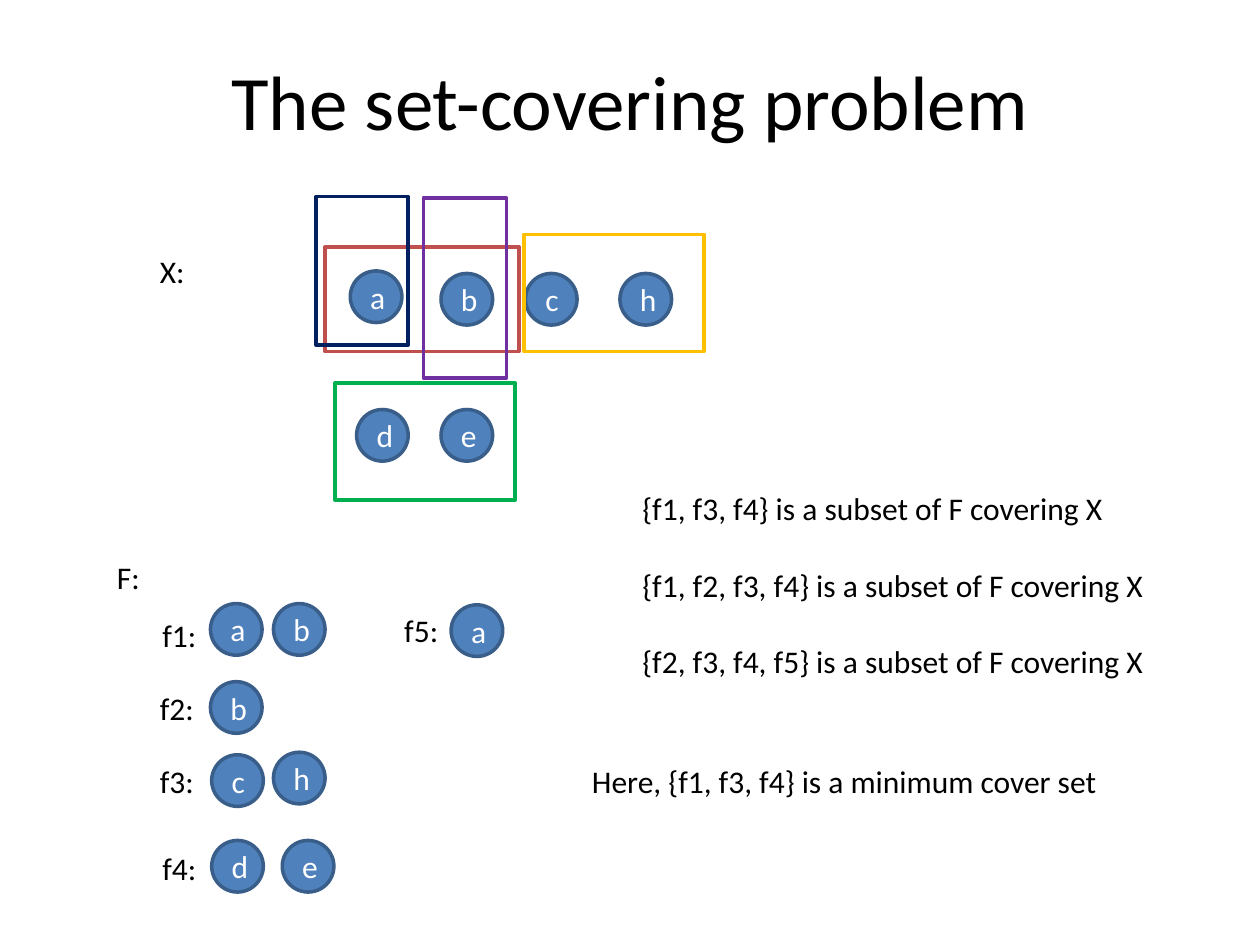
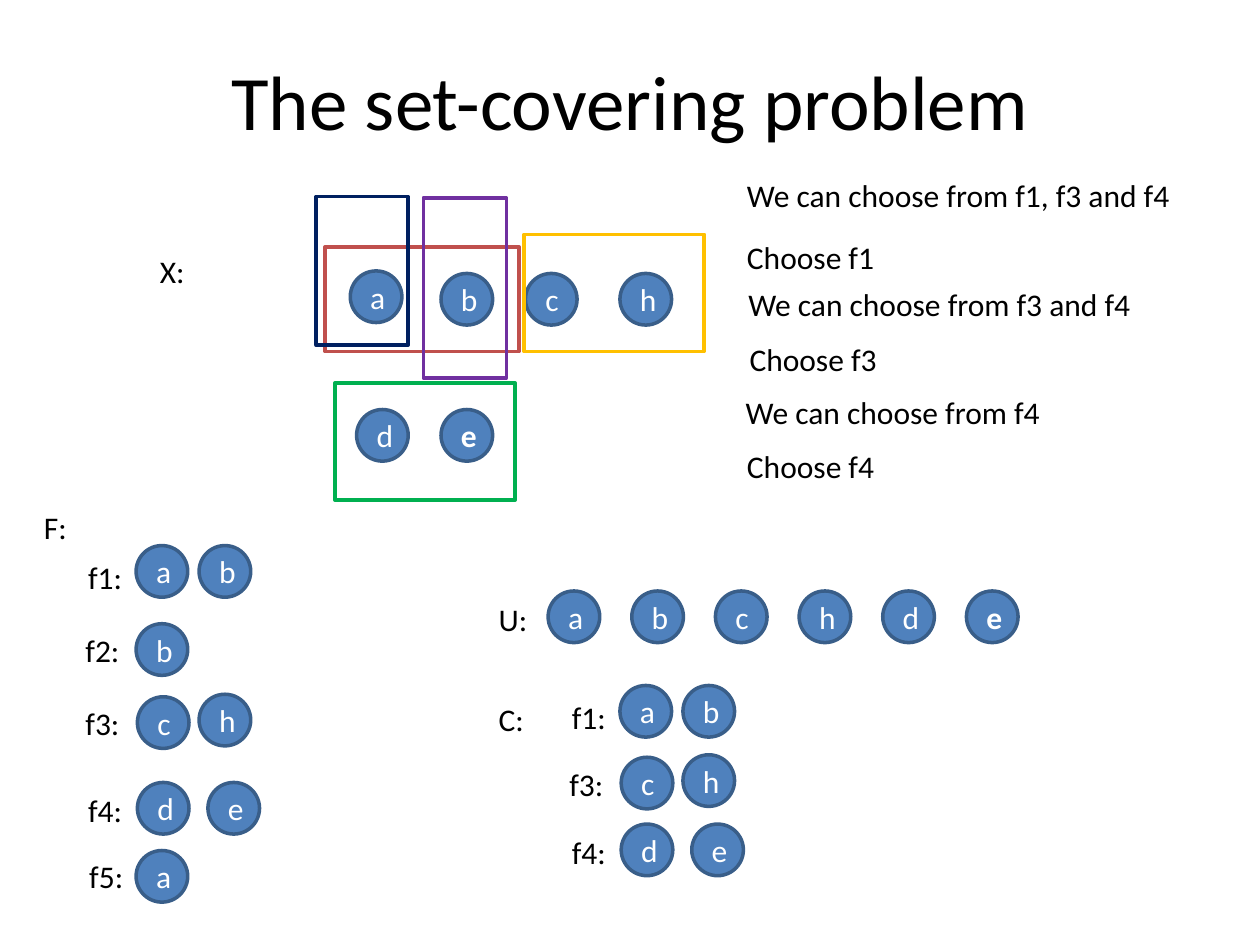
from dataclasses import dataclass

from pptx import Presentation
from pptx.dml.color import RGBColor as RGB
from pptx.enum.shapes import MSO_SHAPE as Shape
from pptx.enum.text import MSO_ANCHOR as Anchor, MSO_AUTO_SIZE as Fit, PP_ALIGN as Align
from pptx.util import Inches, Pt


@dataclass(frozen=True)
class Theme:
    font: str = "Calibri"
    title: int = 44
    body: int = 18
    ink: str = "000000"
    white: str = "FFFFFF"
    ball: str = "4F81BD"
    rim: str = "395E89"
    red: str = "C0504D"
    purple: str = "7030A0"
    gold: str = "FFC000"
    green: str = "00B050"
    navy: str = "002060"
    line: int = 2


THEME = Theme()
BALL = 0.41
ROW = 0.4

# Set name: label offset, then each member with its offset from the row's corner
SETS = {
    "f1": ((-0.48, 0.05), [("a", 0, 0), ("b", 0.5, 0)]),
    "f2": ((-0.5, 0.01), [("b", 0, 0)]),
    "f3": ((-0.5, 0.01), [("c", 0.01, 0), ("h", 0.5, -0.02)]),
    "f4": ((-0.48, 0.02), [("d", 0.01, 0), ("e", 0.57, 0)]),
    "f5": ((-0.47, 0), [("a", 0, 0)]),
}
POINTS = [("a", 2.78, 2.15), ("b", 3.5, 2.17), ("c", 4.17, 2.17),
          ("h", 4.92, 2.17), ("d", 2.83, 3.25), ("e", 3.5, 3.25)]
FRAMES = [
    (THEME.red, 2.58, 1.96, 1.54, 0.83),
    (THEME.purple, 3.36, 1.57, 0.66, 1.43),
    (THEME.gold, 4.16, 1.86, 1.43, 0.93),
    (THEME.green, 2.66, 3.04, 1.43, 0.93),
    (THEME.navy, 2.51, 1.56, 0.73, 1.18),
]


def write(frame, text, size=THEME.body, color=THEME.ink, bold=False, align=Align.LEFT):
    frame.word_wrap = True
    para = frame.paragraphs[0]
    para.alignment = align
    run = para.add_run()
    run.text = text
    font = run.font
    font.name, font.size, font.bold = THEME.font, Pt(size), bold
    font.color.rgb = RGB.from_string(color)


def add_form(slide, kind, box, line, fill=None):
    form = slide.shapes.add_shape(kind, *map(Inches, box))
    form.shadow.inherit = False
    if fill:
        form.fill.solid()
        form.fill.fore_color.rgb = RGB.from_string(fill)
    else:
        form.fill.background()
    form.line.color.rgb = RGB.from_string(line)
    form.line.width = Pt(THEME.line)
    return form


def add_ball(slide, name, x, y, bold=False):
    ball = add_form(slide, Shape.OVAL, (x, y, BALL, BALL), THEME.rim, THEME.ball)
    write(ball.text_frame, name, color=THEME.white, bold=bold, align=Align.CENTER)


def add_note(slide, text, x, y, width=0.58):
    box = slide.shapes.add_textbox(*map(Inches, (x, y, width, ROW)))
    write(box.text_frame, text)
    box.text_frame.auto_size = Fit.SHAPE_TO_FIT_TEXT


def add_set(slide, name, x, y):
    """Draw a set's label and members from the row corner (x, y)."""
    (dx, dy), members = SETS[name]
    add_note(slide, f"{name}:", x + dx, y + dy)
    for item, right, down in members:
        add_ball(slide, item, x + right, y + down)


def add_cover(slide, bold=""):
    """Draw the ground set X with one frame round each subset."""
    add_note(slide, "X:", 1.17, 1.95)
    for name, x, y in POINTS:
        add_ball(slide, name, x, y, bold=name == bold)
    for color, *box in FRAMES:
        add_form(slide, Shape.RECTANGLE, box, color)


def add_page(deck, bold=""):
    slide = deck.slides.add_slide(deck.slide_layouts[5])
    title = slide.shapes.title
    title.left, title.top, title.width, title.height = map(Inches, (0.5, 0.17, 9, 1.25))
    title.text_frame.vertical_anchor = Anchor.MIDDLE
    write(title.text_frame, "The set-covering problem", size=THEME.title, align=Align.CENTER)
    add_cover(slide, bold)
    return slide


def add_covers(deck):
    slide = add_page(deck)
    add_note(slide, "F:", 0.83, 4.38)
    for name, y in zip(SETS, (4.79, 5.41, 5.99, 6.67)):
        add_set(slide, name, 1.67, y)
    add_set(slide, "f5", 3.58, 4.8)
    for i, names in enumerate(("f1, f3, f4", "f1, f2, f3, f4", "f2, f3, f4, f5")):
        add_note(slide, f"{{{names}}} is a subset of F covering X", 5, 3.83 + i * 0.61, 4.5)
    add_note(slide, "Here, {f1, f3, f4} is a minimum cover set", 4.6, 6, 4.63)


def add_greedy(deck):
    slide = add_page(deck, bold="e")
    add_note(slide, "F:", 0.25, 3.98)
    for name, y in zip(SETS, (4.33, 4.95, 5.53, 6.21, 6.75)):
        add_set(slide, name, 1.08, y)

    add_note(slide, "U:", 3.86, 4.71)
    for i, (name, *_) in enumerate(POINTS):
        add_ball(slide, name, 4.35 + i * 0.664, 4.69, bold=name == "e")

    add_note(slide, "C:", 3.86, 5.51)
    for name, y in (("f1", 5.44), ("f3", 6.01), ("f4", 6.54)):
        add_set(slide, name, 4.92, y)

    steps = [
        ("We can choose from f1, f3 and f4", 5.83, 1.35),
        ("Choose f1", 5.83, 1.84),
        ("We can choose from f3 and f4", 5.84, 2.21),
        ("Choose f3", 5.85, 2.65),
        ("We can choose from f4", 5.82, 3.07),
        ("Choose f4", 5.83, 3.5),
    ]
    for text, x, y in steps:
        add_note(slide, text, x, y, 4.15)


def main():
    deck = Presentation()
    deck.slide_width, deck.slide_height = Inches(10), Inches(7.5)
    add_covers(deck)
    add_greedy(deck)
    deck.save("out.pptx")


if __name__ == "__main__":
    main()
